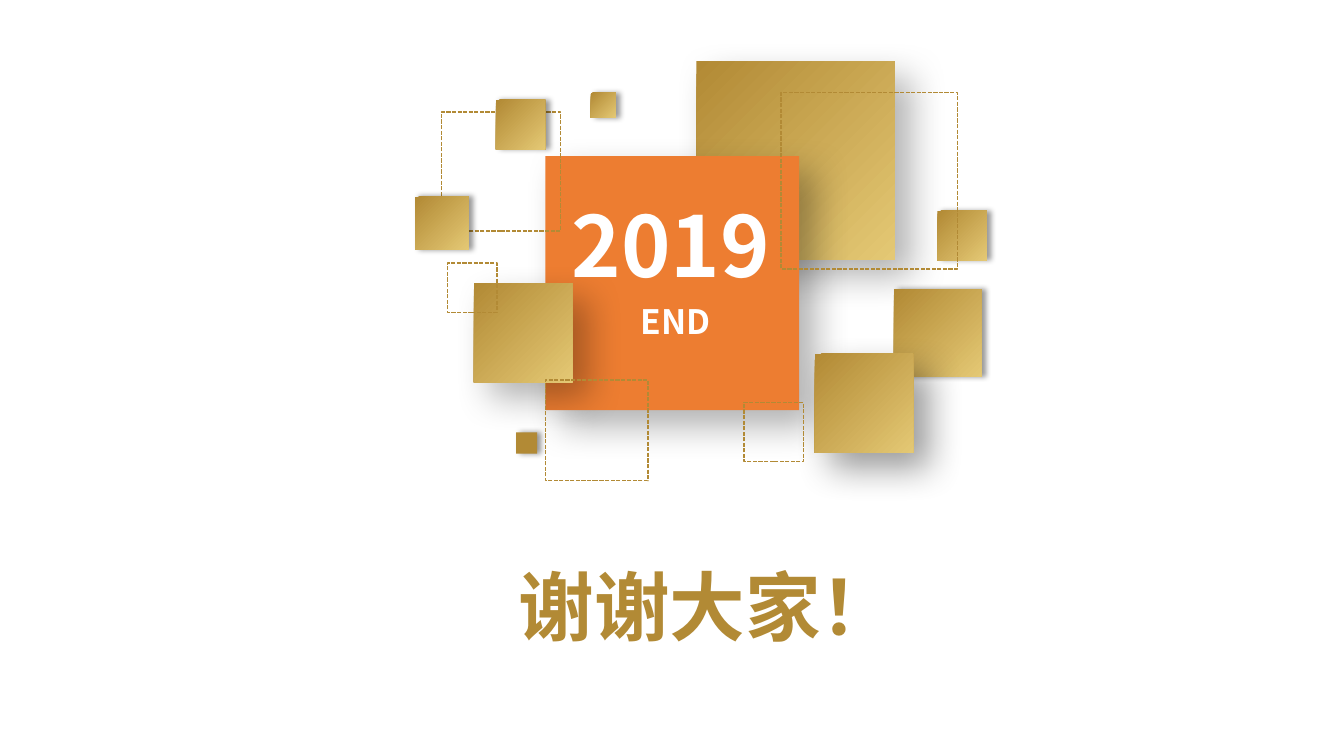
from dataclasses import dataclass

import pptx
import pptx.dml.color
import pptx.enum.dml
import pptx.enum.shapes
import pptx.enum.text
import pptx.oxml
import pptx.oxml.ns
import pptx.util

Pt = pptx.util.Pt


@dataclass(frozen=True)
class Theme:
    font: str = "Noto Sans CJK SC"
    gold: str = "B28A35"
    pale_gold: str = "E4C874"
    orange: str = "ED7D31"
    white: str = "FFFFFF"
    shadow: str = "000000"
    year_size: int = 60
    thanks_size: int = 54
    end_size: int = 24
    outline_width: int = 1


# opacity in percent, blur and distance in points, direction in degrees
DEEP = (30, 26, 16, 45)
DEEP_DARK = (40, 26, 16, 45)
NEAR = (40, 4, 3, 0)


def rgb(value):
    return pptx.dml.color.RGBColor.from_string(value)


def apply(target, formats):
    for attribute, value in formats.items():
        setattr(target, attribute, value)


class Deck:
    def __init__(self, theme):
        self.theme = theme
        self.presentation = pptx.Presentation()
        apply(self.presentation, {"slide_width": Pt(960), "slide_height": Pt(540)})
        title_only = self.presentation.slide_layouts[5]
        self.slide = self.presentation.slides.add_slide(title_only)

    def square(self, left, top, width, height=None):
        tile = self.slide.shapes.add_shape(
            pptx.enum.shapes.MSO_SHAPE.RECTANGLE,
            Pt(left), Pt(top), Pt(width), Pt(height or width))
        tile.shadow.inherit = False
        return tile

    def tile(self, left, top, size, shadow, color=None):
        """Filled square with a shadow; the gold gradient unless a color is given."""
        tile = self.square(left, top, size)
        tile.line.fill.background()
        if color:
            tile.fill.solid()
            tile.fill.fore_color.rgb = rgb(color)
        else:
            tile.fill.gradient()
            tile.fill.gradient_angle = 315
            ends = (self.theme.gold, self.theme.pale_gold)
            for position, (stop, end) in enumerate(zip(tile.fill.gradient_stops, ends)):
                stop.position = position
                stop.color.rgb = rgb(end)
        self.cast_shadow(tile, *shadow)

    def cast_shadow(self, tile, opacity, blur, distance, direction):
        effects = tile._element.spPr.find(pptx.oxml.ns.qn("a:effectLst"))
        effects.append(pptx.oxml.parse_xml(
            f'<a:outerShdw {pptx.oxml.ns.nsdecls("a")} blurRad="{Pt(blur)}" '
            f'dist="{Pt(distance)}" dir="{direction * 60000}" algn="ctr" rotWithShape="0">'
            f'<a:srgbClr val="{self.theme.shadow}"><a:alpha val="{opacity * 1000}"/>'
            f'</a:srgbClr></a:outerShdw>'))

    def dashed(self, left, top, width, height=None):
        frame = self.square(left, top, width, height)
        frame.fill.background()
        frame.line.color.rgb = rgb(self.theme.gold)
        apply(frame.line, {
            "width": Pt(self.theme.outline_width),
            "dash_style": pptx.enum.dml.MSO_LINE.SQUARE_DOT,
        })

    def label(self, wording, box, size, color):
        holder = self.slide.shapes.add_textbox(*map(Pt, box))
        self.set_wording(holder, wording, size, color)

    def title(self, wording, box, size, color):
        holder = self.slide.shapes.title
        apply(holder, dict(zip(("left", "top", "width", "height"), map(Pt, box))))
        self.set_wording(holder, wording, size, color)

    def set_wording(self, holder, wording, size, color):
        apply(holder.text_frame, {
            "word_wrap": True,
            "auto_size": pptx.enum.text.MSO_AUTO_SIZE.NONE,
            "vertical_anchor": pptx.enum.text.MSO_ANCHOR.MIDDLE,
        })
        line = holder.text_frame.paragraphs[0]
        line.alignment = pptx.enum.text.PP_ALIGN.CENTER
        run = line.add_run()
        run.text = wording
        apply(run.font, {"name": self.theme.font, "size": Pt(size), "bold": True})
        run.font.color.rgb = rgb(color)
        run.font._element.find(pptx.oxml.ns.qn("a:latin")).addnext(pptx.oxml.parse_xml(
            f'<a:ea {pptx.oxml.ns.nsdecls("a")} typeface="{self.theme.font}"/>'))


def main():
    theme = Theme()
    deck = Deck(theme)

    deck.tile(497.5, 43.9, 141.8, DEEP)
    deck.tile(389.5, 111.6, 181.4, DEEP, theme.orange)
    for left, top, size, shadow in (
        (338.4, 202.3, 70.6, DEEP),
        (638.6, 206.6, 62.6, NEAR),
        (581.8, 252.7, 70.6, DEEP_DARK),
        (669.6, 150.5, 35.3, NEAR),
    ):
        deck.tile(left, top, size, shadow)
    for frame in (
        (558, 66.2, 126),
        (389.5, 271.4, 73.4, 72),
        (531.4, 287.3, 42.5),
        (319.7, 187.9, 35.3),
        (315.4, 79.9, 85),
    ):
        deck.dashed(*frame)
    deck.tile(368.6, 308.9, 15.1, NEAR, theme.gold)
    for left, top, size in ((421.9, 66.2, 18), (296.6, 140.4, 38.2), (354.2, 71.3, 35.3)):
        deck.tile(left, top, size, NEAR)

    deck.label("2019", (377.3, 133.9, 203.8, 79.9), theme.year_size, theme.white)
    deck.label("END", (360.7, 211, 244.1, 36), theme.end_size, theme.white)
    deck.title("谢谢大家！", (190.8, 396, 629.3, 72.7), theme.thanks_size, theme.gold)

    deck.presentation.save("out.pptx")


if __name__ == "__main__":
    main()
